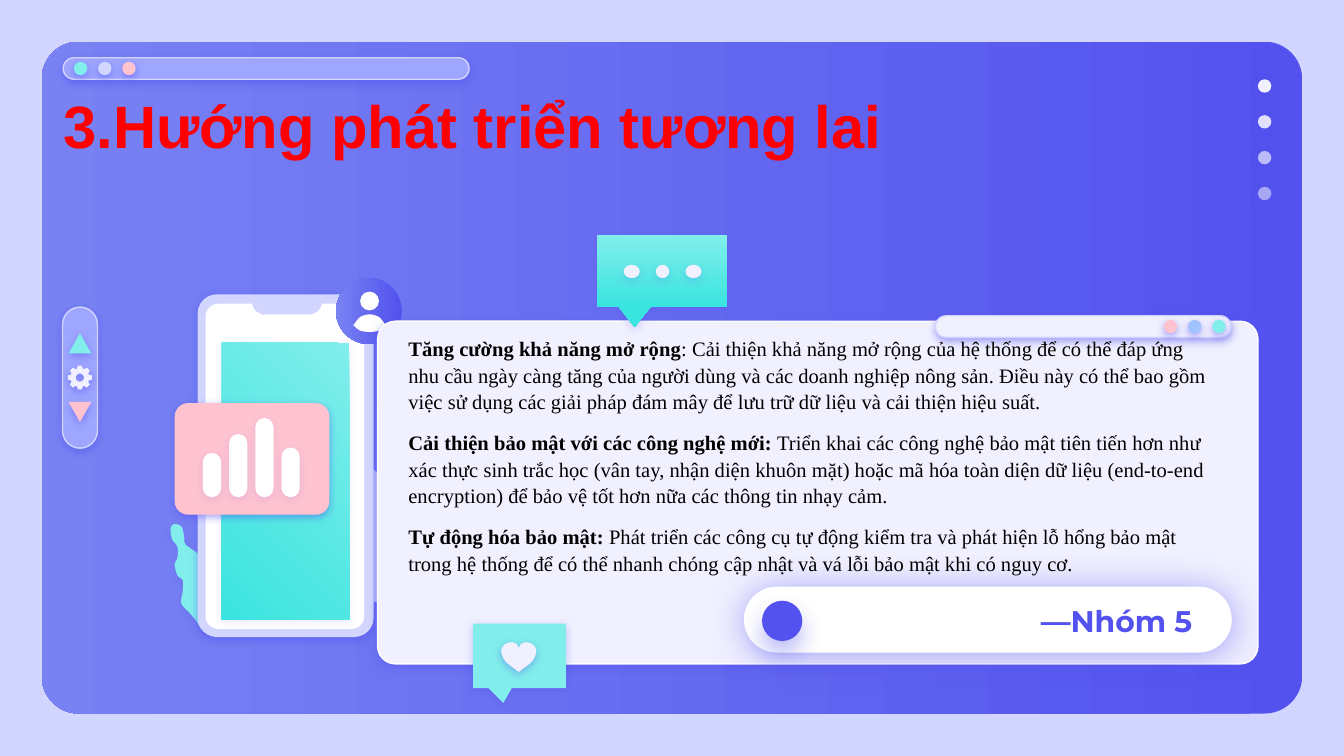
from math import cos, pi, sin

from lxml import etree
from pptx import Presentation
from pptx.dml.color import RGBColor
from pptx.enum.shapes import MSO_SHAPE
from pptx.enum.text import MSO_ANCHOR, MSO_AUTO_SIZE, PP_ALIGN
from pptx.oxml.ns import qn
from pptx.util import Inches, Pt

OVAL = MSO_SHAPE.OVAL
ROUND = MSO_SHAPE.ROUNDED_RECTANGLE
RECT = MSO_SHAPE.RECTANGLE
TRIANGLE = MSO_SHAPE.ISOSCELES_TRIANGLE
BUBBLE = MSO_SHAPE.ROUNDED_RECTANGULAR_CALLOUT
MIDDLE = MSO_ANCHOR.MIDDLE
GROW = MSO_AUTO_SIZE.SHAPE_TO_FIT_TEXT
LEFT, CENTER, RIGHT = PP_ALIGN.LEFT, PP_ALIGN.CENTER, PP_ALIGN.RIGHT

HEX = {
    "back": "D2D6FF", "blue": "5352EE", "sky": "7882F3", "bar": "9EA6FF",
    "pale": "F1F0FF", "white": "FFFFFF", "mint": "81EEEB", "teal": "3AE4DF",
    "pink": "FFC3D0", "light": "A1C3FF", "red": "FF0000", "black": "000000",
}
SOFT = (50, 4.5, 1.5)
FAINT = (11, 4.5, 1.5)

BODY = [
    ("Tăng cường khả năng mở rộng",
     ": Cải thiện khả năng mở rộng của hệ thống để có thể đáp ứng nhu cầu ngày càng tăng "
     "của người dùng và các doanh nghiệp nông sản. Điều này có thể bao gồm việc sử dụng "
     "các giải pháp đám mây để lưu trữ dữ liệu và cải thiện hiệu suất."),
    ("Cải thiện bảo mật với các công nghệ mới:",
     " Triển khai các công nghệ bảo mật tiên tiến hơn như xác thực sinh trắc học (vân tay, "
     "nhận diện khuôn mặt) hoặc mã hóa toàn diện dữ liệu (end-to-end encryption) để bảo vệ "
     "tốt hơn nữa các thông tin nhạy cảm."),
    ("Tự động hóa bảo mật:",
     " Phát triển các công cụ tự động kiểm tra và phát hiện lỗ hổng bảo mật trong hệ thống "
     "để có thể nhanh chóng cập nhật và vá lỗi bảo mật khi có nguy cơ."),
]

BLOB = [(2.31, 3.07), (2.27, 3.08), (2.38, 3.34), (2.36, 3.56), (2.45, 3.74), (2.55, 3.83),
        (2.61, 4.02), (2.58, 4.21), (2.62, 4.37), (2.76, 4.47), (2.91, 4.46), (3.14, 4.27),
        (3.02, 3.83), (2.91, 3.75), (2.81, 3.52), (2.47, 3.29), (2.42, 3.14), (2.34, 3.07)]
LEAF = [(1.3, 3.9), (1.27, 3.93), (1.28, 4.01), (1.32, 4.07), (1.32, 4.15), (1.3, 4.2),
        (1.32, 4.28), (1.36, 4.32), (1.36, 4.4), (1.35, 4.49), (1.41, 4.56), (1.46, 4.62),
        (1.5, 4.68), (1.55, 4.66), (1.59, 4.59), (1.56, 4.51), (1.53, 4.45), (1.54, 4.32),
        (1.53, 4.17), (1.46, 4.11), (1.38, 4.05), (1.37, 3.99), (1.35, 3.92)]
NOTCH = [(1.87, 2.25), (1.87, 2.25), (1.9, 2.31), (1.96, 2.34), (1.96, 2.34),
         (2.31, 2.34), (2.31, 2.34), (2.37, 2.31), (2.4, 2.25), (2.4, 2.25)]
TORSO = [(2.63, 2.42), (2.63, 2.42), (2.68, 2.36), (2.75, 2.34), (2.82, 2.36),
         (2.87, 2.42), (2.87, 2.42), (2.82, 2.46), (2.75, 2.47), (2.68, 2.46)]
HALF = [(3.86, 4.82), (3.84, 4.79), (3.8, 4.78), (3.75, 4.8),
        (3.73, 4.85), (3.76, 4.92), (3.82, 4.97), (3.86, 5)]
HEART = HALF + [(7.72 - x, y) for x, y in reversed(HALF)]


def color(name):
    return RGBColor.from_string(HEX[name])


def shade(shape, alpha, blur, dist):
    effects = shape._element.spPr.find(qn("a:effectLst"))
    drop = etree.SubElement(effects, qn("a:outerShdw"), blurRad=str(Pt(blur)),
                            dist=str(Pt(dist)), dir="5400000", algn="bl", rotWithShape="0")
    tint = etree.SubElement(drop, qn("a:srgbClr"), val=HEX["blue"])
    etree.SubElement(tint, qn("a:alpha"), val=str(alpha * 1000))


def style(shape, fill, edge=None, drop=None, alpha=100):
    if isinstance(fill, tuple):
        first, last, angle = fill
        shape.fill.gradient()
        shape.fill.gradient_angle = angle
        for stop, name in zip(shape.fill.gradient_stops, (first, last)):
            stop.color.rgb = color(name)
    else:
        shape.fill.solid()
        shape.fill.fore_color.rgb = color(fill)
    if alpha < 100:
        tint = shape._element.spPr.find(qn("a:solidFill"))[0]
        etree.SubElement(tint, qn("a:alpha"), val=str(alpha * 1000))
    if edge:
        shape.line.color.rgb = color(edge)
        shape.line.width = Pt(0.75)
    else:
        shape.line.fill.background()
    shape.shadow.inherit = False
    if drop:
        shade(shape, *drop)


def add(shapes, kind, box, fill, adj=(), turn=0, **look):
    shape = shapes.add_shape(kind, *map(Inches, box))
    for i, value in enumerate(adj):
        shape.adjustments[i] = value
    shape.rotation = turn
    style(shape, fill, **look)


def dot(shapes, x, y, fill, **look):
    add(shapes, OVAL, (x, y, 0.1, 0.1), fill, drop=SOFT, **look)


def smooth(knots, steps=8):
    size = len(knots)
    points = []
    for i in range(size):
        a, b, c, d = (knots[(i + k) % size] for k in (-1, 0, 1, 2))
        for t in (n / steps for n in range(steps)):
            points.append(tuple(
                (2 * q + (r - p) * t + (2 * p - 5 * q + 4 * r - s) * t**2
                 + (3 * q - p - 3 * r + s) * t**3) / 2
                for p, q, r, s in zip(a, b, c, d)))
    return points


def outline(shapes, loops, fill, drop=None):
    loops = [[(Inches(x), Inches(y)) for x, y in loop] for loop in loops]
    pen = shapes.build_freeform(*loops[0][0])
    for i, loop in enumerate(loops):
        if i:
            pen.move_to(*loop[0])
        pen.add_line_segments(loop[1:], close=True)
    style(pen.convert_to_shape(), fill, drop=drop)


def polar(radius, angle):
    return 0.595 + radius * cos(angle), 2.81 + radius * sin(angle)


def gear(shapes):
    teeth = [polar(r, k * pi / 4 + a) for k in range(8)
             for r, a in ((0.07, -0.3), (0.09, -0.18), (0.09, 0.18), (0.07, 0.3))]
    hole = [polar(0.03, k * pi / 12) for k in range(24)]
    outline(shapes, [teeth, hole], "pale", SOFT)


def write(shapes, box, paras, font, align=LEFT, fill=None, frame=None, para=None):
    shape = shapes.add_textbox(*map(Inches, box))
    if fill:
        style(shape, fill)
    text = shape.text_frame
    text.word_wrap = True
    for key, value in (frame or {}).items():
        setattr(text, key, value)
    for i, runs in enumerate(paras):
        line = text.add_paragraph() if i else text.paragraphs[0]
        line.alignment = align
        for key, value in (para or {}).items():
            setattr(line, key, value)
        for j, words in enumerate(runs):
            run = line.add_run()
            run.text = words
            name, size, tint = font
            form = {"name": name, "size": Pt(size), "bold": j == 0}
            for key, value in form.items():
                setattr(run.font, key, value)
            run.font.color.rgb = color(tint)


def window(shapes):
    add(shapes, ROUND, (0.31, 0.31, 9.38, 5), ("blue", "sky", 180), [0.056])
    for i, alpha in enumerate((100, 90, 67, 54)):
        dot(shapes, 9.36, 0.59 + i * 0.8 / 3, "pale", alpha=alpha)
    add(shapes, ROUND, (0.47, 0.43, 3.02, 0.16), "bar", [0.5], edge="back", drop=SOFT)
    for i, fill in enumerate(("mint", "back", "pink")):
        dot(shapes, 0.55 + i * 0.18, 0.46, fill)


def phone(shapes):
    outline(shapes, [smooth(BLOB)], "back", (22, 4.5, 1.5))
    dot(shapes, 2.82, 2.93, "back")
    outline(shapes, [smooth(LEAF)], "mint", (18, 4.5, 1.5))
    add(shapes, ROUND, (1.47, 2.19, 1.31, 2.55), "back", [0.11], drop=SOFT)
    add(shapes, ROUND, (1.53, 2.26, 1.18, 2.42), "white", [0.08])
    add(shapes, RECT, (1.65, 2.55, 0.95, 2.06), ("mint", "teal", 225), drop=FAINT)
    outline(shapes, [smooth(NOTCH)], "back")
    add(shapes, ROUND, (1.3, 3, 1.15, 0.83), "pink", [0.12], drop=SOFT)
    for i, high in enumerate((0.33, 0.47, 0.59, 0.37)):
        add(shapes, ROUND, (1.51 + i * 0.195, 3.7 - high, 0.135, high), "white", [0.5], drop=FAINT)
    add(shapes, OVAL, (2.5, 2.07, 0.49, 0.49), ("blue", "sky", 180))
    add(shapes, OVAL, (2.68, 2.17, 0.14, 0.14), "white", drop=FAINT)
    outline(shapes, [smooth(TORSO)], "white", FAINT)


def panel(shapes):
    add(shapes, ROUND, (2.81, 2.39, 6.55, 2.55), "pale", [0.052], edge="white", drop=SOFT)
    add(shapes, ROUND, (5.54, 4.37, 3.62, 0.48), "white", [0.5], edge="white", drop=(50, 19.1, 1.5))
    write(shapes, (5.7, 4.48, 3.27, 0.28), [["—Nhóm 5"]], ("Montserrat", 16, "blue"), RIGHT,
          "white", {"vertical_anchor": MIDDLE, "margin_top": Inches(0.1),
                    "margin_bottom": Inches(0.1)})
    add(shapes, OVAL, (5.67, 4.47, 0.3, 0.3), "blue", drop=(38, 12.4, 6.8))
    add(shapes, ROUND, (6.96, 2.35, 2.2, 0.16), "pale", [0.5], edge="back", drop=SOFT)
    for i, fill in enumerate(("pink", "light", "mint")):
        dot(shapes, 8.66 + i * 0.18, 2.38, fill)


def scroll(shapes):
    add(shapes, ROUND, (0.07, 2.68, 1.05, 0.26), "bar", [0.5], 90, edge="back", drop=SOFT)
    add(shapes, TRIANGLE, (0.51, 2.48, 0.17, 0.15), "mint", drop=SOFT)
    add(shapes, TRIANGLE, (0.51, 2.99, 0.17, 0.15), "pink", turn=180, drop=SOFT)
    gear(shapes)


def chat(shapes):
    add(shapes, BUBBLE, (4.44, 1.75, 0.97, 0.53), ("mint", "teal", 270),
        [-0.209, 0.79, 0], drop=(24, 4.5, 1.5))
    for x, wide in ((4.64, 0.12), (4.88, 0.1), (5.1, 0.12)):
        add(shapes, OVAL, (x, 1.97, wide, 0.1), "pale", drop=(18, 4.5, 1.5))


def like(shapes):
    add(shapes, BUBBLE, (3.52, 4.64, 0.69, 0.48), "mint", [-0.174, 0.731, 0], drop=(31, 4.5, 1.5))
    outline(shapes, [smooth(HEART)], "pale", (38, 4.5, 1.5))


def main():
    deck = Presentation()
    deck.slide_width, deck.slide_height = Inches(10), Inches(10 * 9 / 16)
    slide = deck.slides.add_slide(deck.slide_layouts[6])
    slide.background.fill.solid()
    slide.background.fill.fore_color.rgb = color("back")
    shapes = slide.shapes
    window(shapes)
    phone(shapes.add_group_shape().shapes)
    panel(shapes)
    scroll(shapes)
    for draw in (chat, like):
        draw(shapes.add_group_shape().shapes)
    flush = {f"margin_{side}": 0 for side in ("left", "right", "top", "bottom")}
    write(shapes, (-0.09, 0.75, 7.22, 0.36), [["3.Hướng phát triển tương lai"]],
          ("Arial", 32, "red"), CENTER, frame={"vertical_anchor": MIDDLE, **flush})
    write(shapes, (2.94, 2.44, 6.19, 1.9), BODY, ("Times New Roman", 11, "black"),
          frame={"auto_size": GROW}, para={"line_spacing": 1.07, "space_after": Pt(8)})
    deck.save("out.pptx")


if __name__ == "__main__":
    main()
